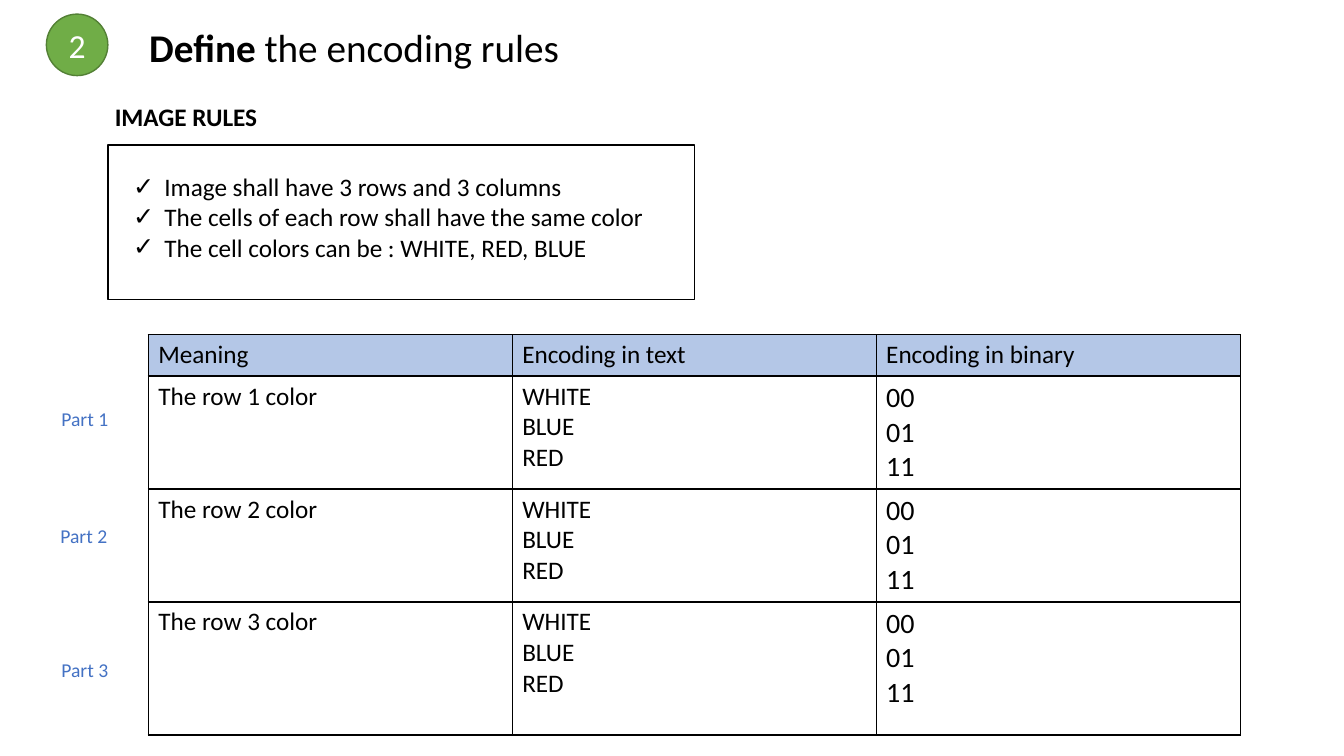
import dataclasses

import lxml.etree
import pptx
import pptx.dml.color
import pptx.enum.shapes
import pptx.enum.text
import pptx.oxml.ns
import pptx.util

PX = 9144
LEFT = pptx.enum.text.PP_ALIGN.LEFT
CENTER = pptx.enum.text.PP_ALIGN.CENTER
MIDDLE = pptx.enum.text.MSO_ANCHOR.MIDDLE
TOP = pptx.enum.text.MSO_ANCHOR.TOP


@dataclasses.dataclass(frozen=True)
class Theme:
    """Colours, font and type sizes of the slide."""

    font: str = "Calibri"
    ink: str = "000000"
    white: str = "FFFFFF"
    header: str = "B4C7E7"
    label: str = "4472C4"
    badge: str = "70AD47"
    badge_line: str = "538035"
    title_size: int = 28
    badge_size: int = 24
    code_size: int = 20
    body_size: int = 18
    label_size: int = 14


THEME = Theme()


def rgb(color):
    """Turn a hex string into a colour."""
    return pptx.dml.color.RGBColor.from_string(color)


def emu(*lengths):
    """Turn px lengths into EMU."""
    return [length * PX for length in lengths]


def child(parent, tag, **attributes):
    """Append a DrawingML element to a parent."""
    return lxml.etree.SubElement(parent, pptx.oxml.ns.qn(tag), attributes)


def write(frame, lines, size, color=THEME.ink, bold=None, align=LEFT):
    """Fill a text frame with evenly styled paragraphs."""
    frame.text = "\n".join(lines)
    for paragraph in frame.paragraphs:
        paragraph.alignment = align
        paragraph.space_before = pptx.util.Pt(0)
        paragraph.font.name = THEME.font
        paragraph.font.size = pptx.util.Pt(size)
        paragraph.font.bold = bold
        paragraph.font.color.rgb = rgb(color)


def place(placeholder, left, top, width, height, anchor):
    """Move a placeholder and fix its text fitting."""
    placeholder.left, placeholder.top = emu(left, top)
    placeholder.width, placeholder.height = emu(width, height)
    placeholder.text_frame.auto_size = pptx.enum.text.MSO_AUTO_SIZE.NONE
    placeholder.text_frame.vertical_anchor = anchor


def add_title(slide, strong, rest):
    """Write the title with a bold opening word."""
    title = slide.shapes.title
    place(title, 138, 18, 450, 57, TOP)
    write(title.text_frame, [""], THEME.title_size)
    heading = title.text_frame.paragraphs[0]
    opening = heading.add_run()
    opening.text = strong
    opening.font.bold = True
    heading.add_run().text = rest


def add_rules(slide, rules):
    """Write the rules as a list with check marks."""
    checklist = slide.placeholders[1]
    place(checklist, 122, 165, 532, 101, TOP)
    checklist.text_frame.word_wrap = False
    write(checklist.text_frame, rules, THEME.body_size)
    indent = 31 * PX
    for paragraph in checklist.text_frame.paragraphs:
        properties = paragraph._p.get_or_add_pPr()
        properties.set("marL", str(indent))
        properties.set("indent", str(-indent))
        bullet_color = child(properties, "a:buClr")
        child(bullet_color, "a:srgbClr", val=THEME.ink)
        child(properties, "a:buFont", typeface=THEME.font)
        child(properties, "a:buChar", char="✓")


def add_label(slide, text, box, size, color=THEME.ink, bold=None):
    """Add a single line of text."""
    label = slide.shapes.add_textbox(*emu(*box))
    label.text_frame.word_wrap = False
    write(label.text_frame, [text], size, color, bold)


def add_outline(slide, kind, box, line, fill=None):
    """Add a preset shape with a thin outline."""
    outline = slide.shapes.add_shape(kind, *emu(*box))
    outline.shadow.inherit = False
    outline.line.color.rgb = rgb(line)
    outline.line.width = pptx.util.Pt(1)
    if fill:
        outline.fill.solid()
        outline.fill.fore_color.rgb = rgb(fill)
    else:
        outline.fill.background()
    return outline


def add_badge(slide, number):
    """Add the round step number."""
    badge = add_outline(slide, pptx.enum.shapes.MSO_SHAPE.OVAL, (46, 14, 61, 61),
                        THEME.badge_line, THEME.badge)
    badge.text_frame.vertical_anchor = MIDDLE
    write(badge.text_frame, [number], THEME.badge_size, THEME.white, align=CENTER)


def style_cell(cell, fill):
    """Set the fill and black borders of a cell."""
    properties = cell._tc.get_or_add_tcPr()
    for side in ("a:lnL", "a:lnR", "a:lnT", "a:lnB"):
        border = child(properties, side, w=str(pptx.util.Pt(1)))
        child(child(border, "a:solidFill"), "a:srgbClr", val=THEME.ink)
    if fill:
        cell.fill.solid()
        cell.fill.fore_color.rgb = rgb(fill)
    else:
        cell.fill.background()


def add_encoding_table(slide, rows, heights):
    """Add the table that maps colours to codes."""
    columns = len(rows[0])
    box = emu(147, 332, 361 * columns, sum(heights))
    table = slide.shapes.add_table(len(rows), columns, *box).table
    table.first_row = table.horz_banding = False
    for r, (row, height) in enumerate(zip(rows, heights)):
        table.rows[r].height = height * PX
        for c, lines in enumerate(row):
            cell = table.cell(r, c)
            is_code = r > 0 and c == columns - 1
            write(cell.text_frame, lines, THEME.code_size if is_code else THEME.body_size)
            style_cell(cell, None if r else THEME.header)


def main():
    """Build and save the slide."""
    deck = pptx.Presentation()
    deck.slide_width, deck.slide_height = emu(1333, 750)
    slide = deck.slides.add_slide(deck.slide_layouts[1])

    colors, codes = ["WHITE", "BLUE", "RED"], ["00", "01", "11"]
    header = [["Meaning"], ["Encoding in text"], ["Encoding in binary"]]
    meanings = [[[f"The row {n} color"], colors, codes] for n in (1, 2, 3)]
    add_encoding_table(slide, [header, *meanings], [41, 112, 112, 132])
    for n, (left, top) in enumerate([(51, 399), (50, 515), (51, 648)], 1):
        add_label(slide, f"Part {n}", (left, top, 67, 34), THEME.label_size, THEME.label)

    add_title(slide, "Define", " the encoding rules")
    add_badge(slide, "2")
    add_label(slide, "IMAGE RULES", (104, 96, 163, 40), THEME.body_size, bold=True)
    add_outline(slide, pptx.enum.shapes.MSO_SHAPE.RECTANGLE, (107, 144, 582, 153), THEME.ink)
    add_rules(slide, ["Image shall have 3 rows and 3 columns",
                      "The cells of each row shall have the same color",
                      "The cell colors can be : WHITE, RED, BLUE"])
    deck.save("out.pptx")


if __name__ == "__main__":
    main()
